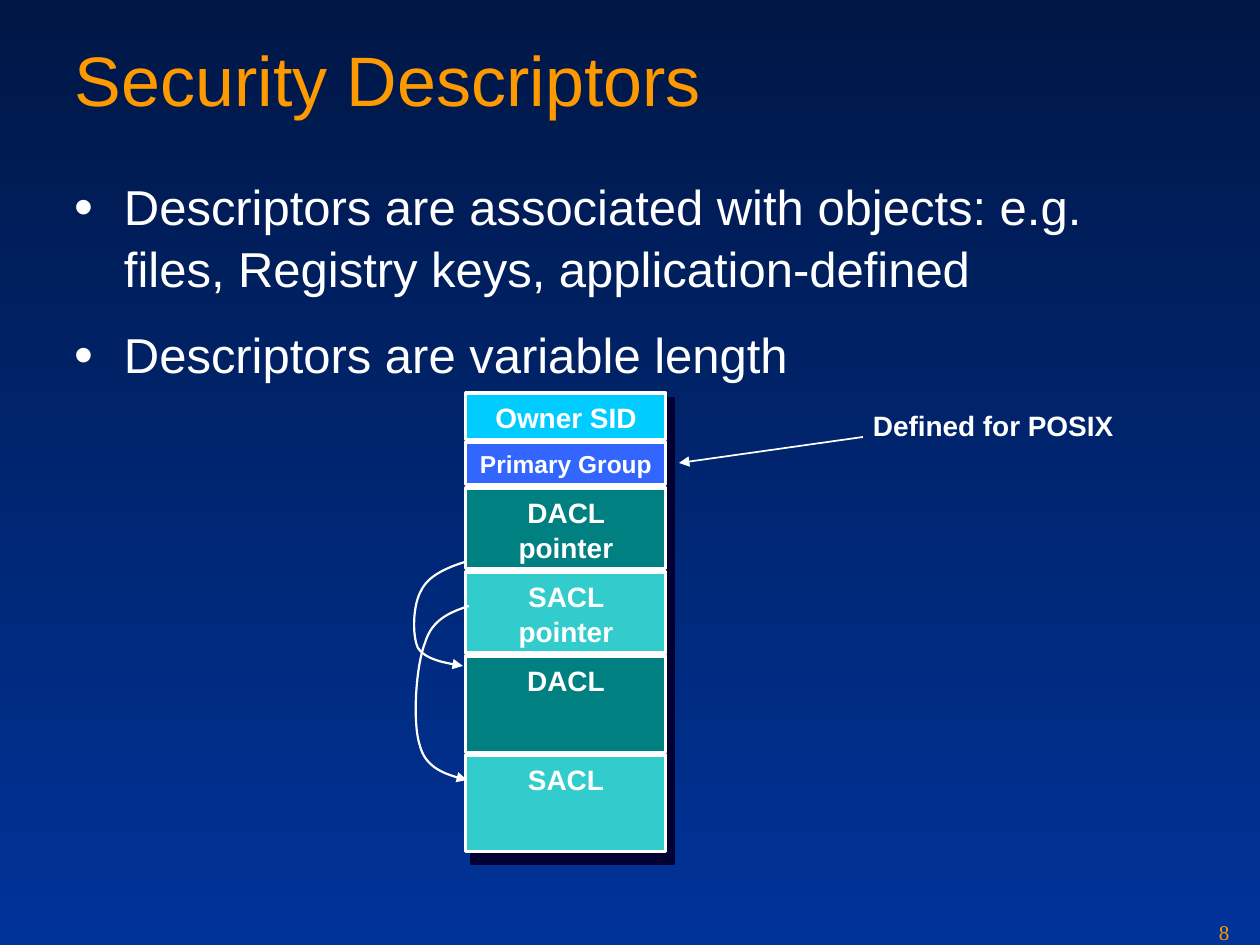
from lxml.etree import SubElement as Sub
from pptx import Presentation
from pptx.dml.color import RGBColor as RGB
from pptx.enum.shapes import MSO_CONNECTOR as LINK, MSO_SHAPE as SHAPE
from pptx.enum.text import MSO_ANCHOR as ANCHOR, PP_ALIGN as ALIGN
from pptx.oxml.ns import qn
from pptx.util import Pt

PX = 914400 // 126  # EMU in one px
WHITE = RGB(0xFF, 0xFF, 0xFF)
ORANGE = RGB(0xFE, 0x99, 0x00)
NIGHT = RGB(0x00, 0x17, 0x46)
NAVY = RGB(0x00, 0x33, 0x99)
SHADE = RGB(0x00, 0x00, 0x33)
SKY = RGB(0x00, 0xCC, 0xFF)
BLUE = RGB(0x33, 0x66, 0xFF)
TEAL = RGB(0x00, 0x80, 0x80)
AQUA = RGB(0x33, 0xCC, 0xCC)

# Descriptor fields: text, top, height, fill, text size
FIELDS = [
    ("Owner SID", 393, 47, SKY, 16),
    ("Primary Group", 442, 43, BLUE, 14),
    ("DACL pointer", 488, 81, TEAL, 16),
    ("SACL pointer", 572, 81, AQUA, 16),
    ("DACL", 656, 97, TEAL, 16),
    ("SACL", 755, 97, AQUA, 16),
]
# Bezier chains: a start, then two handles and an end for each piece
LOOPS = [
    [(465, 562), (446, 568), (428, 576), (421, 591),
     (413, 605), (412, 635), (418, 648), (426, 660), (445, 663), (463, 666)],
    [(469, 606), (451, 612), (432, 619), (425, 643),
     (416, 665), (412, 723), (420, 746), (426, 769), (447, 775), (467, 780)],
]


def px(*nums):
    return [round(n * PX) for n in nums]


def write(frame, *lines, size=16, font="Arial", color=WHITE, bold=False,
          align=ALIGN.LEFT, wrap=True, top=6, gap=0, space=1.05, bullet=False):
    frame.word_wrap = wrap
    frame.vertical_anchor = ANCHOR.TOP
    frame.margin_left = frame.margin_right = 12 * PX
    frame.margin_top, frame.margin_bottom = px(top, 6)
    for i, line in enumerate(lines):
        para = frame.add_paragraph() if i else frame.paragraphs[0]
        para.alignment, para.line_spacing = align, space
        para.space_before = para.space_after = Pt(gap)
        run = para.add_run()
        run.text = line
        run.font.size, run.font.name, run.font.bold = Pt(size), font, bold
        run.font.color.rgb = color
        if bullet:
            mark(para)


def mark(para):
    props = para._p.get_or_add_pPr()
    props.set("marL", str(49 * PX))
    props.set("indent", str(-49 * PX))
    tint = Sub(props, qn("a:buClr"))
    Sub(tint, qn("a:srgbClr"), val=str(WHITE))
    Sub(props, qn("a:buSzPct"), val="110000")
    Sub(props, qn("a:buFont"), typeface="Arial")
    Sub(props, qn("a:buChar"), char="•")


def label(slide, box, *lines, **form):
    write(slide.shapes.add_textbox(*px(*box)).text_frame, *lines, **form)


def block(slide, box, fill, edge, width):
    shape = slide.shapes.add_shape(SHAPE.RECTANGLE, *px(*box))
    shape.shadow.inherit = False
    shape.fill.solid()
    shape.fill.fore_color.rgb = fill
    shape.line.color.rgb = edge
    shape.line.width = Pt(width)
    return shape


def point(shape, width):
    shape.line.color.rgb = WHITE
    shape.line.width = Pt(width)
    Sub(shape.line._get_or_add_ln(), qn("a:tailEnd"), type="triangle")


def arrow(slide, start, end):
    line = slide.shapes.add_connector(LINK.STRAIGHT, *px(*start, *end))
    point(line, 1)
    Sub(line._element.spPr, qn("a:effectLst"))


def bend(a, b, c, d, steps=16):
    for i in range(1, steps + 1):
        t = i / steps
        u = 1 - t
        yield tuple(u**3 * p + 3 * u * u * t * q + 3 * u * t * t * r + t**3 * s
                    for p, q, r, s in zip(a, b, c, d))


def loop(slide, knots):
    dots = [dot for i in range(0, len(knots) - 1, 3)
            for dot in bend(*knots[i:i + 4])]
    pen = slide.shapes.build_freeform(*px(*knots[0]))
    pen.add_line_segments([px(*dot) for dot in dots], close=False)
    shape = pen.convert_to_shape()
    shape.shadow.inherit = False
    shape.fill.background()
    point(shape, 1.25)


def paint(slide):
    fill = slide.background.fill
    fill.gradient()
    fill.gradient_angle = 270
    for stop, tone, pos in zip(fill.gradient_stops, (NIGHT, NAVY), (0, 1)):
        stop.color.rgb = tone
        stop.position = pos


def main():
    deck = Presentation()
    deck.slide_width, deck.slide_height = px(1260, 945)
    slide = deck.slides.add_slide(deck.slide_layouts[6])
    paint(slide)

    # Title and bullets
    label(slide, (63, 30, 1134, 158), "Security Descriptors",
          size=40, color=ORANGE, space=1)
    label(slide, (63, 168, 1134, 634),
          "Descriptors are associated with objects: e.g. files, "
          "Registry keys, application-defined",
          "Descriptors are variable length", size=28, gap=7, bullet=True)

    # Descriptor stack on its shade
    block(slide, (471, 398, 203, 466), SHADE, SHADE, 1)
    for text, top, high, fill, size in FIELDS:
        field = block(slide, (466, top, 200, high), fill, WHITE, 1.75)
        write(field.text_frame, text, size=size, bold=True, align=ALIGN.CENTER)

    # Pointers to the lists
    for knots in LOOPS:
        loop(slide, knots)

    # Note on the group field
    arrow(slide, (863, 437), (679, 463))
    label(slide, (861, 407, 266, 40), "Defined for POSIX",
          bold=True, wrap=False, top=0)

    # Page number
    label(slide, (1207, 914, 53, 31), "8", size=12,
          font="Times New Roman", color=ORANGE, space=1)
    deck.save("out.pptx")


if __name__ == "__main__":
    main()
